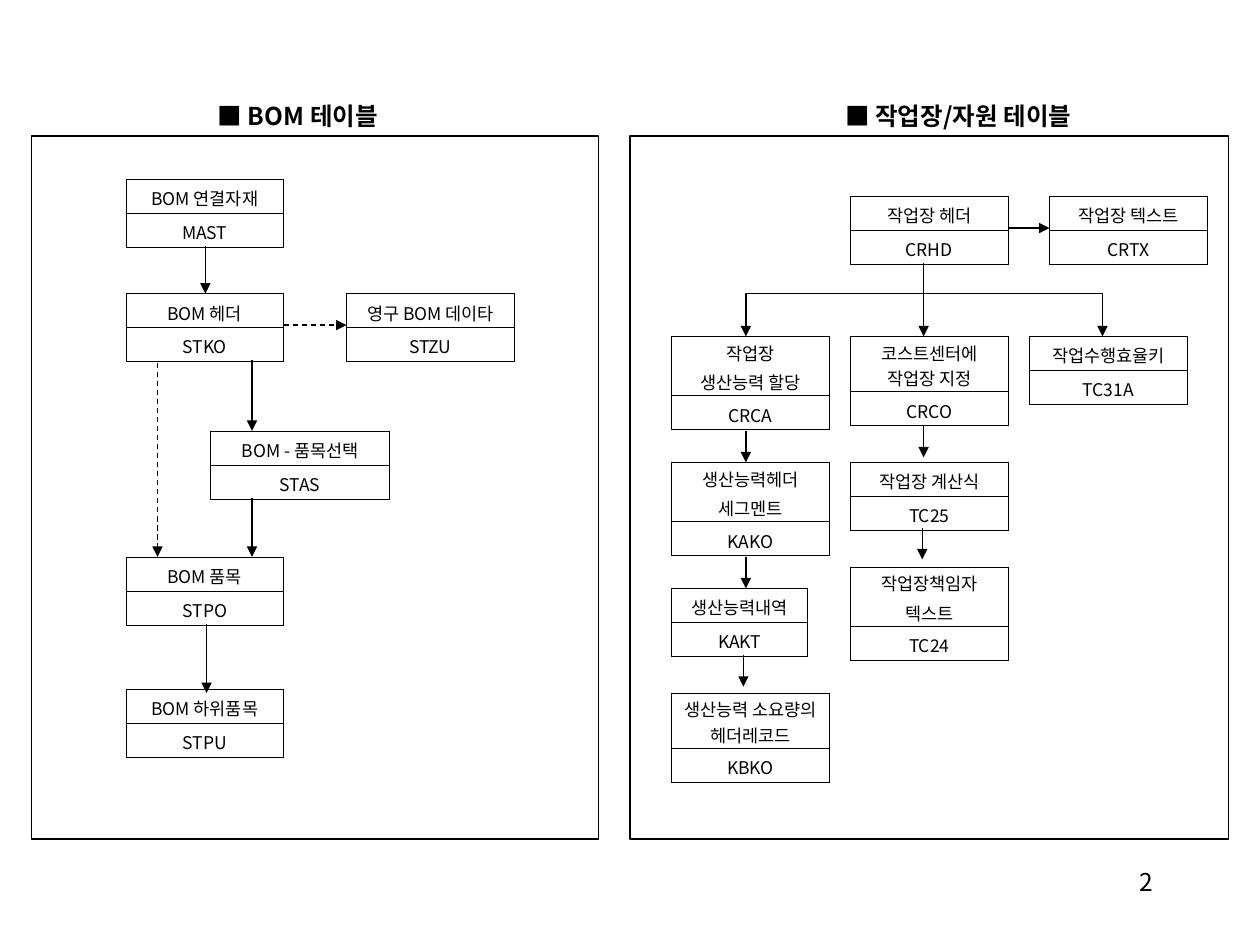
import pptx
import pptx.util
import pptx.dml.color
import pptx.enum.dml
import pptx.enum.shapes
import pptx.enum.text
import pptx.oxml
import pptx.oxml.ns
import lxml.etree

Inches = pptx.util.Inches
Pt = pptx.util.Pt
BLACK = pptx.dml.color.RGBColor(0x00, 0x00, 0x00)
WHITE = pptx.dml.color.RGBColor(0xFF, 0xFF, 0xFF)
ALIGN = pptx.enum.text.PP_ALIGN
FACE = "Noto Sans CJK KR"
ROW = 0.27
WRAP = 0.44
PAIR = 0.47

FRAMES = [(0.25, 1.08, 4.5, 5.58), (5, 1.08, 4.75, 5.58)]
HEADS = [("■ BOM 테이블", 1.63, 1.54), ("■ 작업장/자원 테이블", 6.61, 2.09)]
TABLES = [
    ("BOM 연결자재", "MAST", 1, 1.42, 1.25, ROW),
    ("BOM 헤더", "STKO", 1, 2.33, 1.25, ROW),
    ("영구 BOM 데이타", "STZU", 2.75, 2.33, 1.33, ROW),
    ("BOM - 품목선택", "STAS", 1.67, 3.42, 1.42, ROW),
    ("BOM 품목", "STPO", 1, 4.42, 1.25, ROW),
    ("BOM 하위품목", "STPU", 1, 5.47, 1.25, ROW),
    ("작업장 헤더", "CRHD", 6.75, 1.56, 1.25, ROW),
    ("작업장 텍스트", "CRTX", 8.33, 1.56, 1.25, ROW),
    ("작업장\n생산능력 할당", "CRCA", 5.33, 2.67, 1.25, PAIR),
    ("코스트센터에 작업장 지정", "CRCO", 6.75, 2.67, 1.25, WRAP),
    ("작업수행효율키", "TC31A", 8.17, 2.67, 1.25, ROW),
    ("생산능력헤더\n세그멘트", "KAKO", 5.33, 3.67, 1.25, PAIR),
    ("작업장 계산식", "TC25", 6.75, 3.67, 1.25, ROW),
    ("생산능력내역", "KAKT", 5.33, 4.67, 1.08, ROW),
    ("작업장책임자\n텍스트", "TC24", 6.75, 4.5, 1.25, PAIR),
    ("생산능력 소요량의 헤더레코드", "KBKO", 5.33, 5.5, 1.25, WRAP),
]
SOLID = [
    (1.63, 1.95, 1.63, 2.33),
    (2, 2.86, 2, 3.42),
    (2, 3.95, 2, 4.42),
    (1.64, 4.95, 1.64, 5.5),
    (8, 1.81, 8.33, 1.81),
    (7.33, 2.09, 7.33, 2.67),
    (7.33, 3.38, 7.33, 3.63),
    (7.32, 4.19, 7.32, 4.44),
    (5.92, 3.42, 5.92, 3.67),
    (5.92, 4.42, 5.92, 4.67),
    (5.9, 5.2, 5.9, 5.45),
]
DASHED = [(1.25, 2.88, 1.25, 4.42), (2.25, 2.58, 2.75, 2.58)]
FORK = [(5.92, 2.67), (5.92, 2.33), (8.75, 2.33), (8.75, 2.67)]


def add_node(root, tag, **attrs):
    return lxml.etree.SubElement(root, pptx.oxml.ns.qn(tag), **attrs)


def assign(item, values):
    for key, value in values.items():
        setattr(item, key, value)


def write(frame, text, size, align, bold=False, gap=0):
    for num, part in enumerate(text.split("\n")):
        para = frame.paragraphs[0] if num == 0 else frame.add_paragraph()
        para.alignment = align
        if num:
            para.space_before = Pt(gap)
        run = para.add_run()
        run.text = part
        assign(run.font, {"name": FACE, "size": Pt(size), "bold": bold})
        run.font.color.rgb = BLACK
        add_node(run.font._element, "a:ea", typeface=FACE)


def ink(line):
    line.color.rgb = BLACK
    line.width = Pt(0.75)


def add_frame(slide, box):
    kind = pptx.enum.shapes.MSO_SHAPE.RECTANGLE
    shape = slide.shapes.add_shape(kind, *map(Inches, box))
    shape.shadow.inherit = False
    shape.fill.background()
    ink(shape.line)


def add_label(slide, text, box, align, **form):
    shape = slide.shapes.add_textbox(*map(Inches, box))
    assign(shape.text_frame, form)
    write(shape.text_frame, text, 14, align, bold=align == ALIGN.LEFT)


def edge(cell):
    props = cell._tc.get_or_add_tcPr()
    for side in ("L", "R", "T", "B"):
        line = add_node(props, "a:ln" + side, w=str(Pt(0.45)))
        fill = add_node(line, "a:solidFill")
        add_node(fill, "a:srgbClr", val=str(BLACK))


def add_table(slide, title, code, left, top, width, high):
    box = map(Inches, (left, top, width, high + ROW))
    table = slide.shapes.add_table(2, 1, *box).table
    assign(table, {"first_row": False, "horz_banding": False})
    for num, (text, tall) in enumerate([(title, high), (code, ROW)]):
        table.rows[num].height = Inches(tall)
        cell = table.cell(num, 0)
        single = tall == ROW
        assign(cell, {
            "margin_left": Inches(0.1),
            "margin_right": Inches(0.1),
            "margin_top": Inches(0.05 if single else 0.03),
            "margin_bottom": Inches(0.01 if single else 0),
        })
        edge(cell)
        cell.fill.solid()
        cell.fill.fore_color.rgb = WHITE
        write(cell.text_frame, text, 10, ALIGN.CENTER, gap=2.5)


def add_arrow(slide, ends, dash=False):
    kind = pptx.enum.shapes.MSO_CONNECTOR.STRAIGHT
    arrow = slide.shapes.add_connector(kind, *map(Inches, ends))
    ink(arrow.line)
    if dash:
        arrow.line.dash_style = pptx.enum.dml.MSO_LINE.DASH
    add_node(arrow.line._get_or_add_ln(), "a:tailEnd", type="triangle")
    add_node(arrow._element.spPr, "a:effectLst")


def add_fork(slide, points):
    spots = [(Inches(x), Inches(y)) for x, y in points]
    maker = slide.shapes.build_freeform(*spots[0])
    maker.add_line_segments(spots[1:], close=False)
    shape = maker.convert_to_shape()
    shape.shadow.inherit = False
    shape.fill.background()
    ink(shape.line)
    for tag in ("a:headEnd", "a:tailEnd"):
        add_node(shape.line._get_or_add_ln(), tag, type="triangle")


def main():
    deck = pptx.Presentation()
    assign(deck, {"slide_width": Inches(10), "slide_height": Inches(7.5)})
    slide = deck.slides.add_slide(deck.slide_layouts[6])
    for box in FRAMES:
        add_frame(slide, box)
    fit = pptx.enum.text.MSO_AUTO_SIZE.SHAPE_TO_FIT_TEXT
    for text, left, width in HEADS:
        box = (left, 0.75, width, 0.34)
        add_label(slide, text, box, ALIGN.LEFT, word_wrap=False, auto_size=fit)
    for entry in TABLES:
        add_table(slide, *entry)
    for ends in SOLID:
        add_arrow(slide, ends)
    for ends in DASHED:
        add_arrow(slide, ends, dash=True)
    add_fork(slide, FORK)
    add_label(slide, "2", (7.17, 6.83, 2.08, 0.5), ALIGN.RIGHT, word_wrap=True)
    deck.save("out.pptx")


if __name__ == "__main__":
    main()
